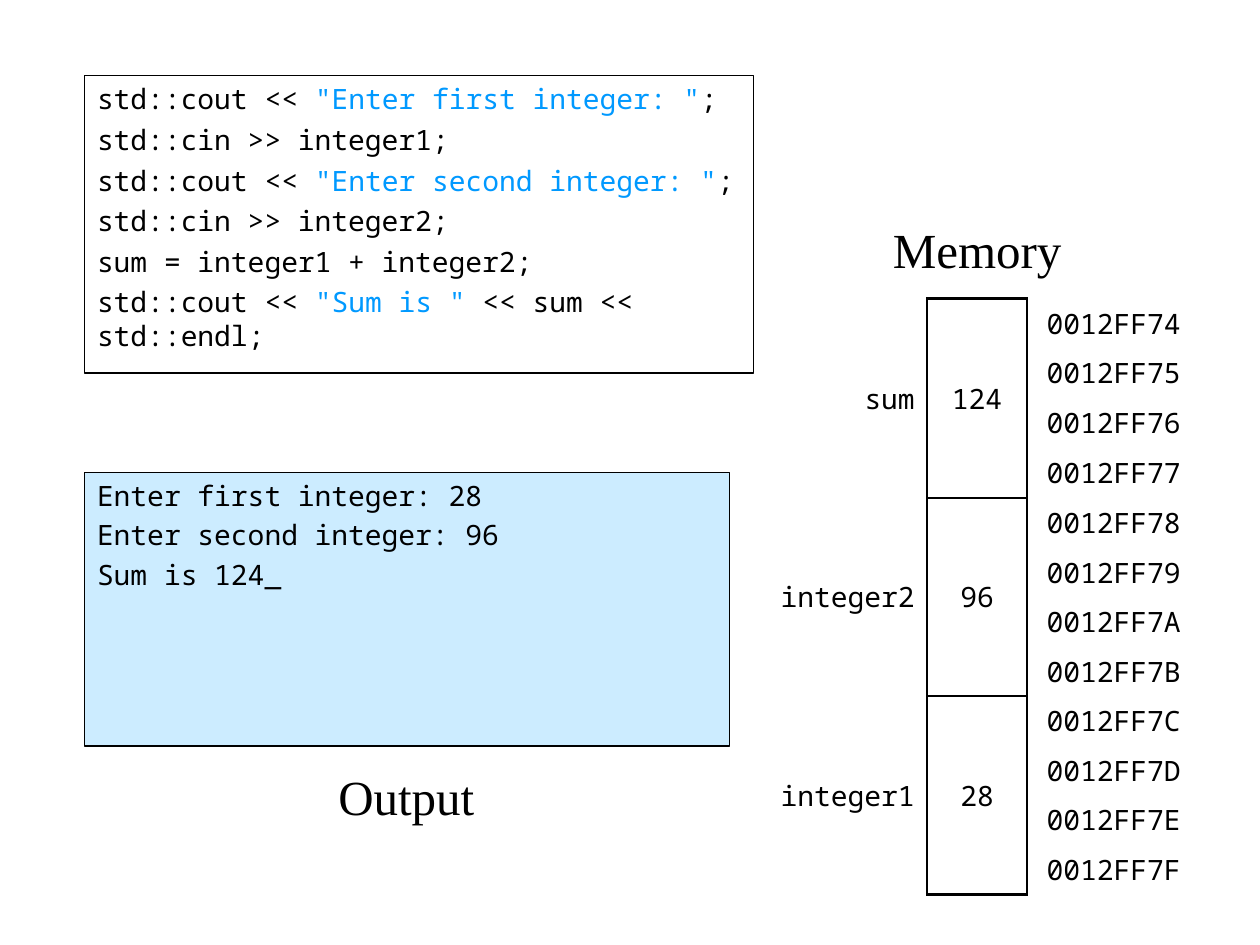
from lxml import etree
from pptx import Presentation
from pptx import util as u
from pptx.dml.color import RGBColor
from pptx.enum import text
from pptx.oxml import ns

COLORS = {"ink": "000000", "string": "0099FF", "screen": "CCECFF"}
MONO, SERIF = "Noto Sans Mono", "Times New Roman"
NO_GRID = "{2D5ABB26-0587-4C30-8999-92F81FD0307C}"
CODE = [
    [("std::cout << ", "ink"), ('"Enter first integer: "', "string"), (";", "ink")],
    [("std::cin >> integer1;", "ink")],
    [("std::cout << ", "ink"), ('"Enter second integer: "', "string"), (";", "ink")],
    [("std::cin >> integer2;", "ink")],
    [("sum = integer1 + integer2;", "ink")],
    [("std::cout << ", "ink"), ('"Sum is "', "string"), (" << sum << std::endl;", "ink")],
]
OUTPUT = ["Enter first integer: 28", "Enter second integer: 96", "Sum is 124_"]
VARIABLES = [("sum", "124"), ("integer2", "96"), ("integer1", "28")]
BYTES = 4
FIRST_ADDRESS = 0x0012FF74


def rgb(name):
    return RGBColor.from_string(COLORS[name])


def write(paragraph, content, size=16, font=MONO, color="ink", align=None, before=0):
    run = paragraph.add_run()
    run.text = content
    run.font.size = u.Pt(size)
    run.font.name = font
    run.font.color.rgb = rgb(color)
    paragraph.space_before = u.Pt(before)
    if align is not None:
        paragraph.alignment = align


def place(shape, left, top, width, height):
    shape.left, shape.top = u.Inches(left), u.Inches(top)
    shape.width, shape.height = u.Inches(width), u.Inches(height)


def border(cell, sides):
    properties = cell._tc.get_or_add_tcPr()
    for side, points in sides.items():
        line = etree.SubElement(properties, ns.qn(f"a:ln{side}"), w=str(u.Pt(points)))
        fill = etree.SubElement(line, ns.qn("a:solidFill"))
        etree.SubElement(fill, ns.qn("a:srgbClr"), val=COLORS["ink"])


class MemorySlide:
    """Draws the panels, captions and memory table on one slide."""

    def __init__(self, presentation):
        self.slide = presentation.slides.add_slide(presentation.slide_layouts[3])
        title = self.slide.shapes.title
        title._element.getparent().remove(title._element)

    def panel(self, index, box, lines, before, fill=None):
        shape = self.slide.placeholders[index]
        place(shape, *box)
        shape.line.color.rgb = rgb("ink")
        shape.line.width = u.Pt(0.75)
        if fill:
            shape.fill.solid()
            shape.fill.fore_color.rgb = rgb(fill)
        frame = shape.text_frame
        frame.word_wrap = True
        frame.auto_size = text.MSO_AUTO_SIZE.NONE
        for number, line in enumerate(lines):
            paragraph = frame.add_paragraph() if number else frame.paragraphs[0]
            properties = paragraph._p.get_or_add_pPr()
            properties.set("marL", "0")
            properties.set("indent", "0")
            etree.SubElement(properties, ns.qn("a:buNone"))
            for content, color in line:
                write(paragraph, content, color=color, before=before)

    def caption(self, box, content):
        shape = self.slide.shapes.add_textbox(*map(u.Inches, box))
        frame = shape.text_frame
        frame.word_wrap = True
        frame.vertical_anchor = text.MSO_ANCHOR.MIDDLE
        write(frame.paragraphs[0], content, size=28, font=SERIF, align=text.PP_ALIGN.CENTER)

    def cell(self, cell, content, align, inset):
        cell.vertical_anchor = text.MSO_ANCHOR.MIDDLE
        cell.margin_left = cell.margin_right = u.Inches(2 * inset)
        cell.margin_top = cell.margin_bottom = u.Inches(inset)
        write(cell.text_frame.paragraphs[0], content, align=align)

    def memory(self, box, widths):
        count = BYTES * len(VARIABLES)
        table = self.slide.shapes.add_table(count, len(widths), *map(u.Inches, box)).table
        table.first_row = table.horz_banding = False
        table._tbl.tblPr.find(ns.qn("a:tableStyleId")).text = NO_GRID
        for column, width in zip(table.columns, widths):
            column.width = u.Inches(width)
        for row in range(count):
            self.cell(table.cell(row, 2), f"{FIRST_ADDRESS + row:08X}", text.PP_ALIGN.CENTER, 0.04)
        for block, (name, value) in enumerate(VARIABLES):
            first, last = block * BYTES, block * BYTES + BYTES - 1
            top = 1 if first else 1.5
            bottom = 1 if last < count - 1 else 1.5
            for column, content, align in ((0, name, text.PP_ALIGN.RIGHT),
                                           (1, value, text.PP_ALIGN.CENTER)):
                origin = table.cell(first, column)
                origin.merge(table.cell(last, column))
                self.cell(origin, content, align, 0.05)
            border(table.cell(first, 1), {"L": 1.5, "R": 1.5, "T": top, "B": bottom})
            for row in range(first + 1, last):
                border(table.cell(row, 1), {"L": 1.5, "R": 1.5})
            border(table.cell(last, 1), {"L": 1.5, "R": 1.5, "B": bottom})
        for cell in table.iter_cells():
            cell.fill.background()


def main():
    presentation = Presentation()
    presentation.slide_width, presentation.slide_height = u.Inches(10), u.Inches(7.5)
    slide = MemorySlide(presentation)
    slide.panel(1, (0.67, 0.6, 5.31, 2.36), CODE, before=4)
    slide.panel(2, (0.67, 3.75, 5.12, 2.17), [[(line, "ink")] for line in OUTPUT],
                before=3.2, fill="screen")
    slide.memory((5.98, 2.37, 3.55, 4.72), (1.38, 0.79, 1.38))
    slide.caption((2.44, 5.92, 1.57, 0.79), "Output")
    slide.caption((6.77, 1.58, 1.97, 0.79), "Memory")
    presentation.save("out.pptx")


if __name__ == "__main__":
    main()
